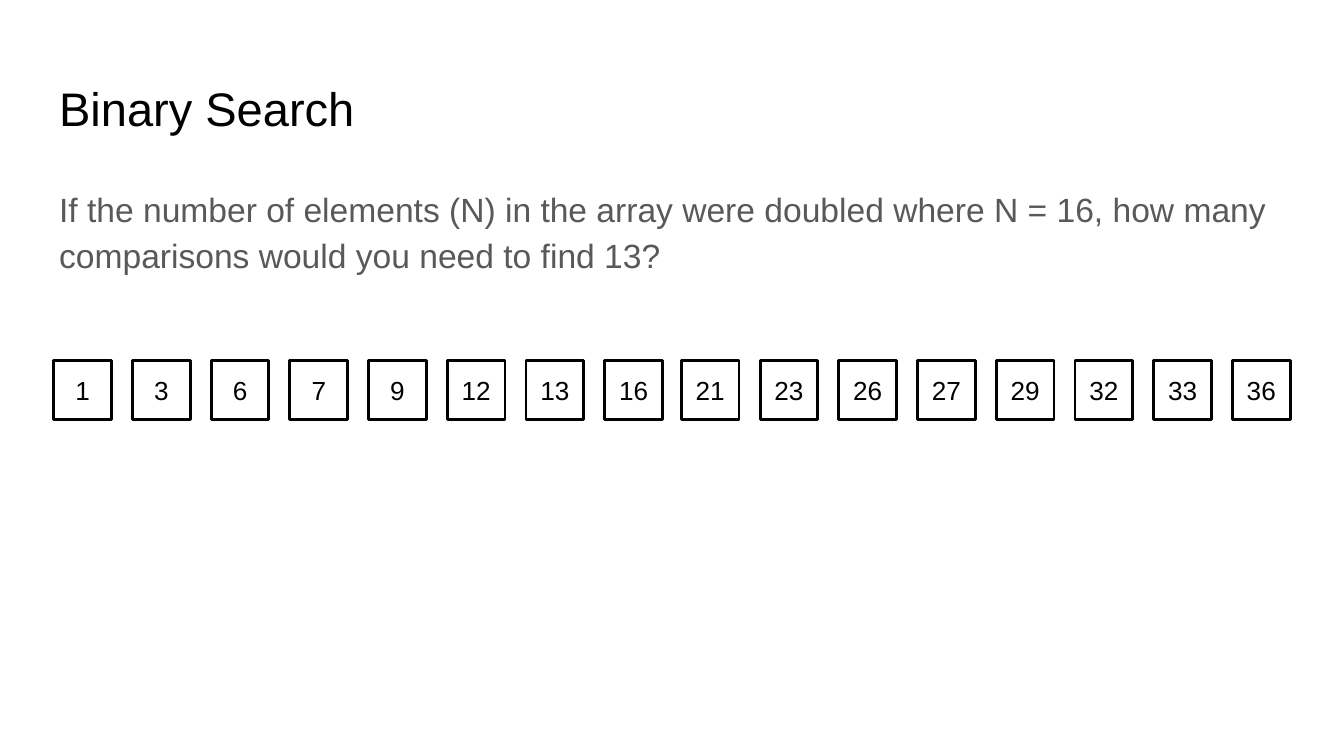
from lxml.etree import SubElement
from pptx import Presentation
from pptx.dml.color import RGBColor
from pptx.enum.shapes import MSO_SHAPE as SHAPE
from pptx.enum.text import MSO_ANCHOR as ANCHOR, MSO_AUTO_SIZE as FIT, PP_ALIGN as ALIGN
from pptx.oxml.ns import qn
from pptx.util import Inches, Pt

BLACK = RGBColor(0x00, 0x00, 0x00)
GRAY = RGBColor(0x59, 0x59, 0x59)
FONT = "Arial"
SLIDE_WIDTH = Inches(10)
SLIDE_HEIGHT = SLIDE_WIDTH * 9 // 16
QUESTION = ("If the number of elements (N) in the array were doubled where N = 16, "
            "how many comparisons would you need to find 13?")
LOW_HALF = [1, 3, 6, 7, 9, 12, 13, 16]
HIGH_HALF = [21, 23, 26, 27, 29, 32, 33, 36]


def set_attrs(obj, values):
    """Set each named value on the object."""
    for name, value in values.items():
        setattr(obj, name, value)


def place(sp, left, top, width, height):
    """Move and size a shape, in inches."""
    set_attrs(sp, {"left": Inches(left), "top": Inches(top),
                   "width": Inches(width), "height": Inches(height)})


def write(sp, text, size, color, anchor=ANCHOR.TOP, align=ALIGN.LEFT, fit=FIT.NONE):
    """Write one formatted paragraph into a shape and return it."""
    tf = sp.text_frame
    margins = {f"margin_{side}": Inches(0.1) for side in ("left", "top", "right", "bottom")}
    set_attrs(tf, {**margins, "word_wrap": True, "vertical_anchor": anchor, "auto_size": fit})
    p = tf.paragraphs[0]
    p.alignment = align
    r = p.add_run()
    r.text = text
    set_attrs(r.font, {"name": FONT, "size": Pt(size)})
    r.font.color.rgb = color
    return p


def add_title(s, text, box):
    """Fill the title placeholder."""
    sp = s.shapes.title
    place(sp, *box)
    write(sp, text, 25.2, BLACK)


def add_question(s, text, box):
    """Fill the body placeholder with an unbulleted question."""
    sp = s.placeholders[1]
    place(sp, *box)
    p = write(sp, text, 18, GRAY)
    set_attrs(p, {"line_spacing": 1.15, "space_before": Pt(0), "space_after": Pt(12)})
    pPr = p._p.get_or_add_pPr()
    pPr.set("marL", "0")
    pPr.set("indent", "0")
    SubElement(pPr, qn("a:buNone"))


def add_cells(s, values, box, cell=0.43):
    """Spread array cells evenly across the box."""
    left, top, width, height = box
    pitch = (width - cell) / (len(values) - 1)
    for i, value in enumerate(values):
        sp = s.shapes.add_shape(SHAPE.RECTANGLE, Inches(left + i * pitch), Inches(top),
                                Inches(cell), Inches(height))
        sp.shadow.inherit = False
        sp.fill.background()
        sp.line.color.rgb = BLACK
        sp.line.width = Pt(1.5)
        SubElement(sp.line._get_or_add_ln(), qn("a:round"))
        write(sp, str(value), 14, BLACK, ANCHOR.MIDDLE, ALIGN.CENTER, FIT.SHAPE_TO_FIT_TEXT)


def main():
    """Build and save the slide."""
    prs = Presentation()
    set_attrs(prs, {"slide_width": SLIDE_WIDTH, "slide_height": SLIDE_HEIGHT})
    s = prs.slides.add_slide(prs.slide_layouts[1])
    add_title(s, "Binary Search", (0.34, 0.49, 9.32, 0.63))
    add_question(s, QUESTION, (0.34, 1.26, 9.32, 3.74))
    for values, left in ((LOW_HALF, 0.4), (HIGH_HALF, 5.07)):
        add_cells(s, values, (left, 2.68, 4.53, 0.44))
    prs.save("out.pptx")


if __name__ == "__main__":
    main()
